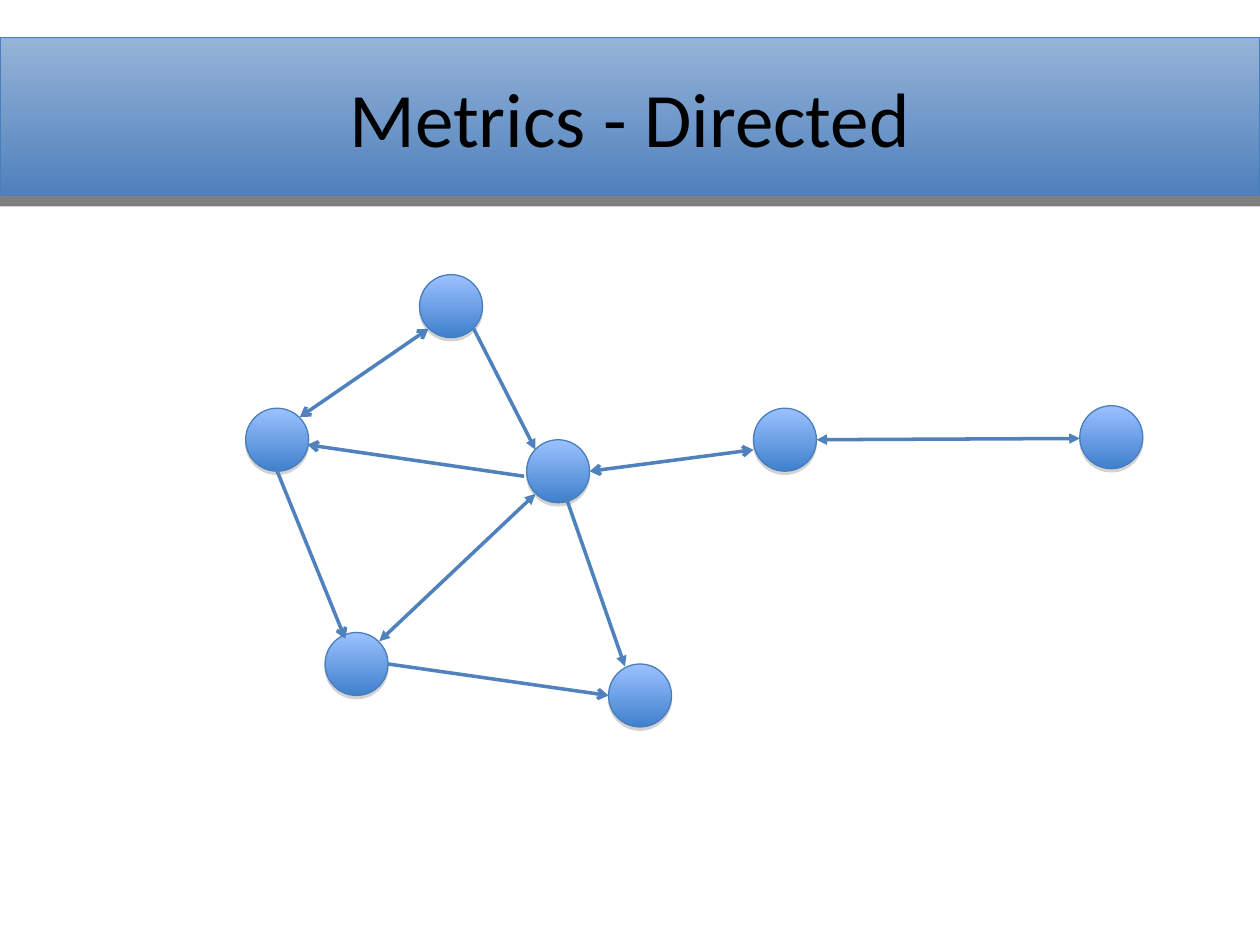
"""Build the "Metrics - Directed" slide: a title band above a directed graph."""
from lxml.etree import SubElement
from pptx import Presentation
from pptx.dml.color import RGBColor
from pptx.enum.shapes import MSO_CONNECTOR, MSO_SHAPE
from pptx.enum.text import MSO_ANCHOR, PP_ALIGN
from pptx.oxml.ns import qn
from pptx.util import Inches, Pt

BLACK = RGBColor(0x00, 0x00, 0x00)
GREY = RGBColor(0x80, 0x80, 0x80)
OUTLINE = RGBColor(0x4A, 0x7E, 0xBB)
EDGE = RGBColor(0x4F, 0x81, 0xBD)
BAND_GRADIENT = (RGBColor(0x95, 0xB3, 0xD7), EDGE)
NODE_GRADIENT = (RGBColor(0x9B, 0xC1, 0xFF), RGBColor(0x3F, 0x80, 0xCD))

TITLE = "Metrics - Directed"
TITLE_FONT = {"name": "Calibri", "size": Pt(44)}
TITLE_FRAME = {"word_wrap": True, "vertical_anchor": MSO_ANCHOR.MIDDLE}
BAND_TOP, BAND_HEIGHT = 0.3, 1.25

NODE_SIZE = 0.5
NODES = [
    (1.95, 3.24), (2.58, 5.02), (4.18, 3.49), (4.83, 5.27),
    (5.98, 3.24), (3.33, 2.18), (8.57, 3.22),
]
EDGES = [
    ((3.76, 2.61), (4.25, 3.57), None, "triangle"),
    ((6.48, 3.49), (8.57, 3.48), "triangle", "triangle"),
    ((3.01, 5.09), (4.25, 3.92), "triangle", "triangle"),
    ((4.49, 3.94), (4.96, 5.29), None, "triangle"),
    ((3.08, 5.27), (4.83, 5.52), None, "arrow"),
    ((4.68, 3.74), (5.98, 3.57), "arrow", "arrow"),
    ((2.38, 3.31), (3.40, 2.61), "arrow", "arrow"),
    ((4.16, 3.78), (2.44, 3.53), None, "arrow"),
    ((2.20, 3.74), (2.74, 5.07), None, "arrow"),
]


def add_gradient_shape(s, kind, box, colors, shadow):
    sp = s.shapes.add_shape(kind, *map(Inches, box))
    sp.fill.gradient()
    sp.fill.gradient_angle = 270
    for stop, color in zip(sp.fill.gradient_stops, colors):
        stop.color.rgb = color
    sp.line.color.rgb = OUTLINE
    sp.line.width = Pt(0.75)
    sp.shadow.inherit = False
    color, alpha, distance = shadow
    effects = sp.element.spPr.find(qn("a:effectLst"))
    outer = SubElement(effects, qn("a:outerShdw"), blurRad="0",
                       dist=str(Pt(distance)), dir="5400000", rotWithShape="0")
    rgb = SubElement(outer, qn("a:srgbClr"), val=str(color))
    SubElement(rgb, qn("a:alpha"), val=str(alpha * 1000))


def add_title(s):
    box = s.shapes.add_textbox(*map(Inches, (0.5, BAND_TOP, 9, BAND_HEIGHT)))
    tf = box.text_frame
    for name, value in TITLE_FRAME.items():
        setattr(tf, name, value)
    p = tf.paragraphs[0]
    p.alignment = PP_ALIGN.CENTER
    r = p.add_run()
    r.text = TITLE
    for name, value in TITLE_FONT.items():
        setattr(r.font, name, value)
    r.font.color.rgb = BLACK


def add_edge(s, start, end, head, tail):
    c = s.shapes.add_connector(MSO_CONNECTOR.STRAIGHT, *map(Inches, start + end))
    c.line.color.rgb = EDGE
    c.line.width = Pt(2)
    sp_pr = c.element.spPr
    ln = sp_pr.find(qn("a:ln"))
    for tag, kind in (("a:headEnd", head), ("a:tailEnd", tail)):
        if kind:
            SubElement(ln, qn(tag), type=kind)
    SubElement(sp_pr, qn("a:effectLst"))


def main():
    prs = Presentation()
    prs.slide_width, prs.slide_height = Inches(10), Inches(7.5)
    s = prs.slides.add_slide(prs.slide_layouts[6])
    add_gradient_shape(s, MSO_SHAPE.RECTANGLE, (0, BAND_TOP, 10, BAND_HEIGHT),
                       BAND_GRADIENT, (BLACK, 49, 6))
    add_title(s)
    for left, top in NODES:
        add_gradient_shape(s, MSO_SHAPE.OVAL, (left, top, NODE_SIZE, NODE_SIZE),
                           NODE_GRADIENT, (GREY, 35, 1.8))
    for edge in EDGES:
        add_edge(s, *edge)
    prs.save("out.pptx")


if __name__ == "__main__":
    main()
